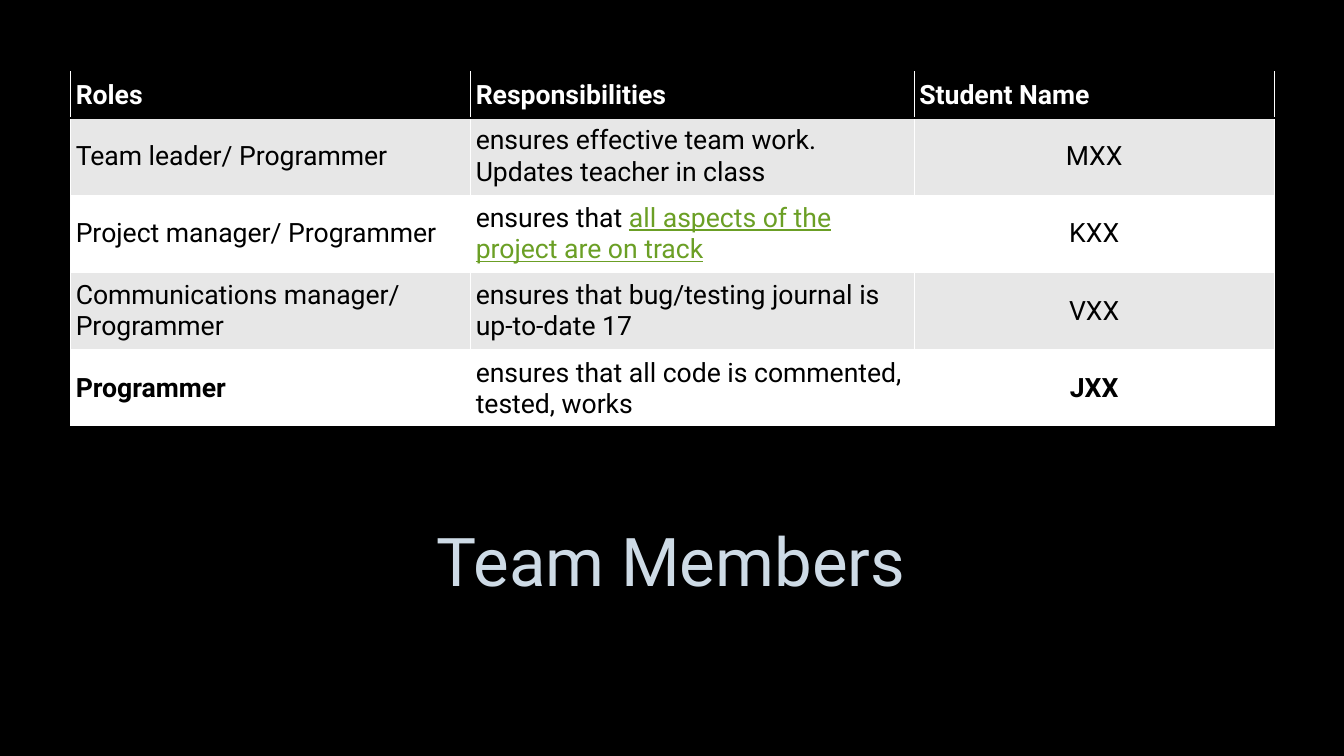
from lxml import etree
from pptx import Presentation
from pptx.dml.color import RGBColor
from pptx.enum.text import MSO_ANCHOR, PP_ALIGN
from pptx.oxml import parse_xml
from pptx.oxml.ns import nsdecls, qn
from pptx.util import Cm, Pt

MIDDLE, BOTTOM = MSO_ANCHOR.MIDDLE, MSO_ANCHOR.BOTTOM
LEFT, CENTER = PP_ALIGN.LEFT, PP_ALIGN.CENTER

# Content
TITLE = "Team Members"
HEADERS = ("Roles", "Responsibilities", "Student Name")
MEMBERS = [
    ("Team leader/ Programmer",
     "ensures effective team work. Updates teacher in class", "MXX"),
    ("Project manager/ Programmer",
     "ensures that all aspects of the project are on track", "KXX"),
    ("Communications manager/ Programmer",
     "ensures that bug/testing journal is up-to-date 17", "VXX"),
    ("Programmer",
     "ensures that all code is commented, tested, works", "JXX"),
]
UNDERLINED = "all aspects of the project are on track"

# Style
FONT = "Roboto"
COLORS = {"black": "000000", "white": "FFFFFF", "band": "E7E7E7",
          "title": "CEDBE6", "green": "6B9F25", "outline": "404040"}
COLUMN_WIDTHS = (10.08, 11.18, 9.07)
HEADER_HEIGHT, MEMBER_HEIGHT = 1.14, 1.95
CELL_MARGIN = Cm(0.13)


def color(name):
    return RGBColor.from_string(COLORS[name])


def format_run(run, size, color_name, bold=False):
    run.font.name = FONT
    run.font.size = Pt(size)
    run.font.bold = bold
    run.font.color.rgb = color(color_name)


def add_borders(cell, sides):
    """Put a 2 pt black line on the given sides, ahead of the cell's fill."""
    properties = cell._tc.get_or_add_tcPr()
    for position, side in enumerate(sides):
        properties.insert(position, parse_xml(
            f'<a:ln{side} {nsdecls("a")} w="25400"><a:solidFill>'
            f'<a:srgbClr val="{COLORS["black"]}"/></a:solidFill></a:ln{side}>'))


def fill_cell(cell, text, row, column):
    header, last = row == 0, row == len(MEMBERS)
    cell.fill.solid()
    cell.fill.fore_color.rgb = color(
        "black" if header else "band" if row % 2 else "white")
    cell.vertical_anchor = MIDDLE
    cell.margin_left = cell.margin_right = CELL_MARGIN
    cell.margin_top = cell.margin_bottom = CELL_MARGIN
    paragraph = cell.text_frame.paragraphs[0]
    paragraph.alignment = CENTER if column == 2 and not header else LEFT
    plain, underlined, _ = text.partition(UNDERLINED)
    paragraph.text = plain
    bold = header or (last and column != 1)
    format_run(paragraph.runs[0], 19, "white" if header else "black", bold)
    if underlined:
        run = paragraph.add_run()
        run.text = underlined
        format_run(run, 19, "green")
        run.font.underline = True
    if header:
        add_borders(cell, "TB")
    elif last:
        add_borders(cell, "B")


def add_team_table(slide):
    rows = [HEADERS] + MEMBERS
    heights = [HEADER_HEIGHT] + [MEMBER_HEIGHT] * len(MEMBERS)
    table = slide.shapes.add_table(
        len(rows), len(HEADERS), Cm(1.78), Cm(1.83),
        Cm(sum(COLUMN_WIDTHS)), Cm(sum(heights))).table
    for column, width in zip(table.columns, COLUMN_WIDTHS):
        column.width = Cm(width)
    for row_index, (texts, height) in enumerate(zip(rows, heights)):
        table.rows[row_index].height = Cm(height)
        for column_index, text in enumerate(texts):
            fill_cell(table.cell(row_index, column_index), text,
                      row_index, column_index)


def add_title(slide):
    text_frame = slide.shapes.add_textbox(
        Cm(3.81), Cm(12.24), Cm(26.21), Cm(3.02)).text_frame
    text_frame.word_wrap = True
    text_frame.vertical_anchor = BOTTOM
    text_frame.text = TITLE
    paragraph = text_frame.paragraphs[0]
    paragraph.alignment = CENTER
    paragraph.line_spacing = 0.9
    paragraph.space_after = Pt(6)
    run = paragraph.runs[0]
    format_run(run, 48, "title")
    # Faint outline around the letters
    outline = parse_xml(f'<a:ln {nsdecls("a")} w="9525"><a:solidFill/></a:ln>')
    shade = etree.SubElement(outline[0], qn("a:srgbClr"), val=COLORS["outline"])
    etree.SubElement(shade, qn("a:alpha"), val="10000")
    run.font._element.insert(0, outline)


def main():
    presentation = Presentation()
    presentation.slide_width, presentation.slide_height = Cm(33.87), Cm(19.05)
    slide = presentation.slides.add_slide(presentation.slide_layouts[6])
    slide.background.fill.solid()
    slide.background.fill.fore_color.rgb = color("black")
    add_title(slide)
    add_team_table(slide)
    presentation.save("out.pptx")


if __name__ == "__main__":
    main()
